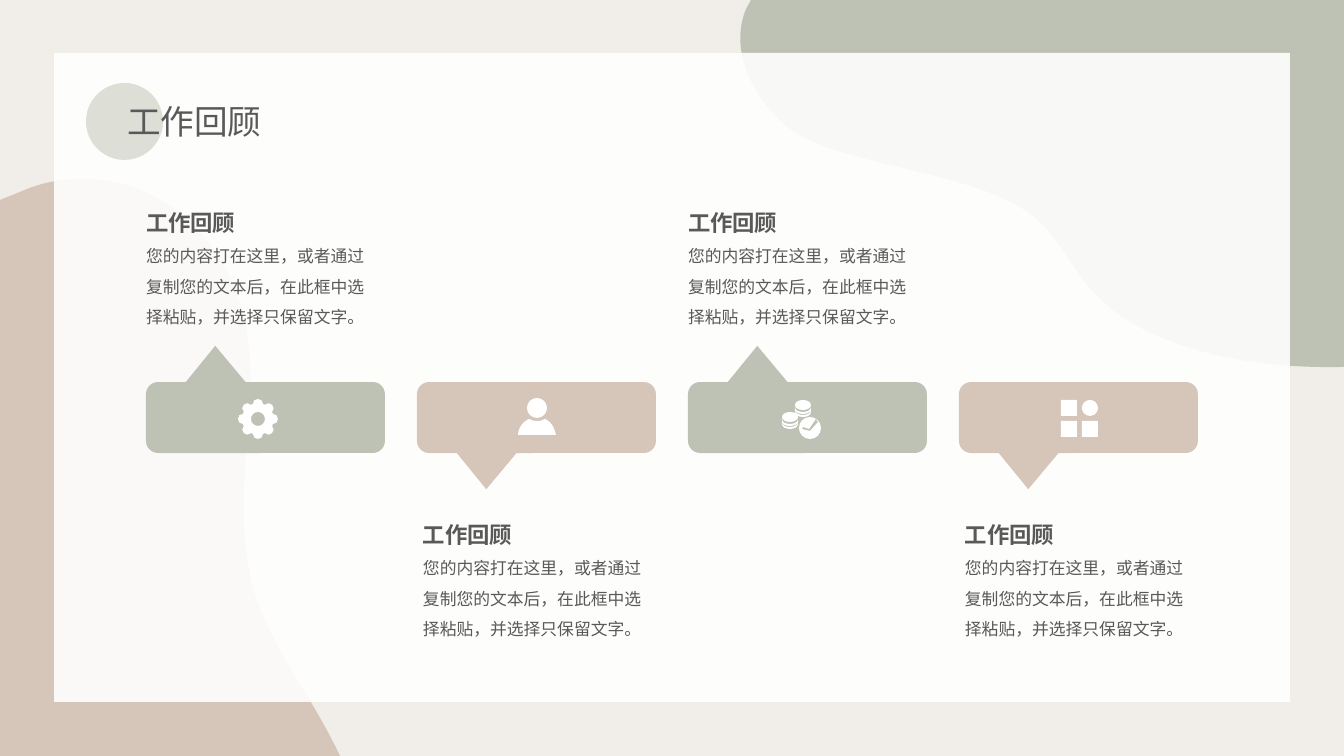
import dataclasses
import math

import lxml.etree
import pptx
import pptx.dml.color
import pptx.enum.shapes
import pptx.enum.text
import pptx.oxml.ns
import pptx.util

EMU_PER_PX = 914400 / 100.8


@dataclasses.dataclass(frozen=True)
class Theme:
    paper: str = "F1EEE9"
    white: str = "FFFFFF"
    sage: str = "BEC2B4"
    sand: str = "D6C5B9"
    ink: str = "595959"
    font: str = "Noto Sans CJK SC"
    title_size: int = 24
    heading_size: int = 16
    body_size: int = 12


@dataclasses.dataclass(frozen=True)
class Box:
    left: int
    top: int
    width: int
    height: int

    def inner(self, dx, dy, width, height):
        return Box(self.left + dx, self.top + dy, width, height)

    def emu(self):
        return [px(v) for v in (self.left, self.top, self.width, self.height)]


THEME = Theme()
TITLE = "工作回顾"
HEADING = "工作回顾"
BODY = "您的内容打在这里，或者通过复制您的文本后，在此框中选择粘贴，并选择只保留文字。"
SHAPES = pptx.enum.shapes.MSO_SHAPE


def px(length):
    return pptx.util.Emu(round(length * EMU_PER_PX))


def rgb(color):
    return pptx.dml.color.RGBColor.from_string(color)


def paint(shape, color, opacity=100):
    shape.shadow.inherit = False
    shape.fill.solid()
    shape.fill.fore_color.rgb = rgb(color)
    shape.line.fill.background()
    if opacity < 100:
        tint = shape._element.spPr.find(".//" + pptx.oxml.ns.qn("a:srgbClr"))
        alpha = lxml.etree.SubElement(tint, pptx.oxml.ns.qn("a:alpha"))
        alpha.set("val", str(opacity * 1000))


def add_preset(slide, kind, box, color, opacity=100):
    shape = slide.shapes.add_shape(kind, *box.emu())
    paint(shape, color, opacity)
    return shape


def bend(shape, contours):
    outline = shape._element.spPr.find(".//" + pptx.oxml.ns.qn("a:path"))
    lines = iter(outline.findall(pptx.oxml.ns.qn("a:lnTo")))
    for contour in contours:
        for segment in contour[1:]:
            group = [next(lines) for _ in segment[::2]]
            if len(group) == 1:
                continue
            curve = lxml.etree.Element(pptx.oxml.ns.qn("a:cubicBezTo"))
            group[0].addprevious(curve)
            for line in group:
                curve.append(line[0])
                outline.remove(line)


def add_outline(slide, box, contours, color):
    builder = None
    for contour in contours:
        start, *rest = [(px(box.left + x), px(box.top + y))
                        for segment in contour
                        for x, y in zip(segment[::2], segment[1::2])]
        if builder is None:
            builder = slide.shapes.build_freeform(*start, scale=1.0)
        else:
            builder.move_to(*start)
        builder.add_line_segments(rest, close=True)
    shape = builder.convert_to_shape()
    bend(shape, contours)
    paint(shape, color)


def rectangle(x, y, width, height):
    return [(x, y), (x + width, y), (x + width, y + height), (x, y + height)]


def oval(cx, cy, rx, ry):
    kx, ky = rx * 0.55, ry * 0.55
    left, top, right, bottom = cx - rx, cy - ry, cx + rx, cy + ry
    return [(left, cy),
            (left, cy - ky, cx - kx, top, cx, top),
            (cx + kx, top, right, cy - ky, right, cy),
            (right, cy + ky, cx + kx, bottom, cx, bottom),
            (cx - kx, bottom, left, cy + ky, left, cy)]


def gear_icon():
    cx, cy, teeth = 20, 20, 8
    tooth = [(-5, -15), (-5, -18, -3, -20, 0, -20), (3, -20, 5, -18, 5, -15)]
    rim = []
    for index in range(teeth):
        angle = 2 * math.pi * index / teeth
        cos, sin = math.cos(angle), math.sin(angle)
        for segment in tooth:
            turned = []
            for x, y in zip(segment[::2], segment[1::2]):
                turned += [cx + x * cos - y * sin, cy + x * sin + y * cos]
            rim.append(tuple(turned))
    return [rim, oval(cx, cy, 7, 7)]


def person_icon():
    shoulders = [(0, 37), (0, 34, 2, 25, 11, 21), (16, 24, 22, 24, 27, 21),
                 (36, 25, 37, 34, 38, 37)]
    return [oval(19, 10, 10, 10), shoulders]


def coin_stack(cx, cy, rx, ry):
    stack = [oval(cx, cy, rx, ry)]
    left, right, bulge = cx - rx, cx + rx, ry * 4 / 3
    for upper in (cy + 2, cy + 5):
        lower = upper + 2
        stack.append([(left, upper),
                      (left, upper + bulge, right, upper + bulge, right, upper),
                      (right, lower),
                      (right, lower + bulge, left, lower + bulge, left, lower)])
    return stack


def coins_icon():
    tick = [(28, 32), (20, 30), (21, 28), (27, 30), (34, 20), (36, 23)]
    return [*coin_stack(21, 6, 8, 5), *coin_stack(8, 18, 8, 5),
            oval(28, 29, 11, 11), tick]


def grid_icon():
    squares = [rectangle(x, y, 16, 16) for x, y in ((0, 0), (0, 21), (21, 21))]
    return [*squares, oval(29, 8, 8, 8)]


def write(frame, text, size, bold=False, spacing=None):
    frame.text = text
    paragraph = frame.paragraphs[0]
    paragraph.alignment = pptx.enum.text.PP_ALIGN.LEFT
    if spacing:
        paragraph.line_spacing = spacing
    font = paragraph.font
    font.name = THEME.font
    font.size = pptx.util.Pt(size)
    font.bold = bold
    font.color.rgb = rgb(THEME.ink)
    east_asian = lxml.etree.SubElement(font._element, pptx.oxml.ns.qn("a:ea"))
    east_asian.set("typeface", THEME.font)


def add_text(slide, box, text, size, bold=False, spacing=None):
    frame = slide.shapes.add_textbox(*box.emu()).text_frame
    frame.word_wrap = True
    frame.margin_left = frame.margin_right = frame.margin_top = frame.margin_bottom = 0
    frame.auto_size = pptx.enum.text.MSO_AUTO_SIZE.SHAPE_TO_FIT_TEXT
    write(frame, text, size, bold, spacing)


def draw_backdrop(slide, box):
    slide.background.fill.solid()
    slide.background.fill.fore_color.rgb = rgb(THEME.paper)
    sage_blob = [(751, 0), (1344, 0), (1344, 367), (1342, 367),
                 (1285, 368, 1229, 362, 1178, 344), (1061, 303, 1082, 241, 1016, 205),
                 (950, 168, 831, 164, 785, 125), (765, 108, 749, 84, 743, 60),
                 (739, 43, 739, 26, 746, 9)]
    sand_blob = [(80, 179), (149, 177, 207, 222, 234, 286),
                 (273, 380, 227, 475, 251, 579), (266, 643, 308, 688, 340, 756),
                 (0, 756), (0, 200), (20, 192), (40, 183, 60, 179, 80, 179)]
    add_outline(slide, box, [sage_blob], THEME.sage)
    add_outline(slide, box, [sand_blob], THEME.sand)
    add_preset(slide, SHAPES.RECTANGLE, box.inner(54, 53, 1236, 649), THEME.white, 90)


def draw_title(slide, box):
    add_preset(slide, SHAPES.OVAL, box.inner(0, 0, 77, 77), THEME.sage, 50)
    title = slide.shapes.title
    title.left, title.top, title.width, title.height = box.inner(31, 13, 156, 50).emu()
    frame = title.text_frame
    frame.word_wrap = False
    frame.auto_size = pptx.enum.text.MSO_AUTO_SIZE.SHAPE_TO_FIT_TEXT
    frame.vertical_anchor = pptx.enum.text.MSO_ANCHOR.TOP
    write(frame, TITLE, THEME.title_size)
    slide.shapes._spTree.append(title._element)


def draw_card(slide, box, points_up, icon, icon_dx, icon_dy):
    color = THEME.sage if points_up else THEME.sand
    callout = add_preset(slide, SHAPES.ROUNDED_RECTANGULAR_CALLOUT, box, color)
    callout.adjustments[0] = -0.21
    callout.adjustments[1] = -1.01 if points_up else 1.01
    callout.adjustments[2] = 0.17
    add_outline(slide, box.inner(icon_dx, icon_dy, 40, 40), icon, THEME.white)
    dx, dy = (0, -173) if points_up else (6, 139)
    add_text(slide, box.inner(dx, dy, 104, 27), HEADING, THEME.heading_size, bold=True)
    add_text(slide, box.inner(dx, dy + 27, 226, 92), BODY, THEME.body_size, spacing=1.5)


def draw_cards(slide, box):
    icons = [(gear_icon(), 92, 17), (person_icon(), 101, 16),
             (coins_icon(), 94, 17), (grid_icon(), 102, 18)]
    card_width = 239
    pitch = (box.width - card_width) // (len(icons) - 1)
    for index, (icon, dx, dy) in enumerate(icons):
        card = box.inner(index * pitch, 0, card_width, box.height)
        draw_card(slide, card, index % 2 == 0, icon, dx, dy)


def main():
    page = Box(0, 0, 1344, 756)
    deck = pptx.Presentation()
    deck.slide_width, deck.slide_height = px(page.width), px(page.height)
    slide = deck.slides.add_slide(deck.slide_layouts.get_by_name("Title Only"))
    draw_backdrop(slide, page)
    draw_cards(slide, page.inner(146, 382, 1052, 71))
    draw_title(slide, page.inner(86, 83, 187, 77))
    deck.save("out.pptx")


if __name__ == "__main__":
    main()
